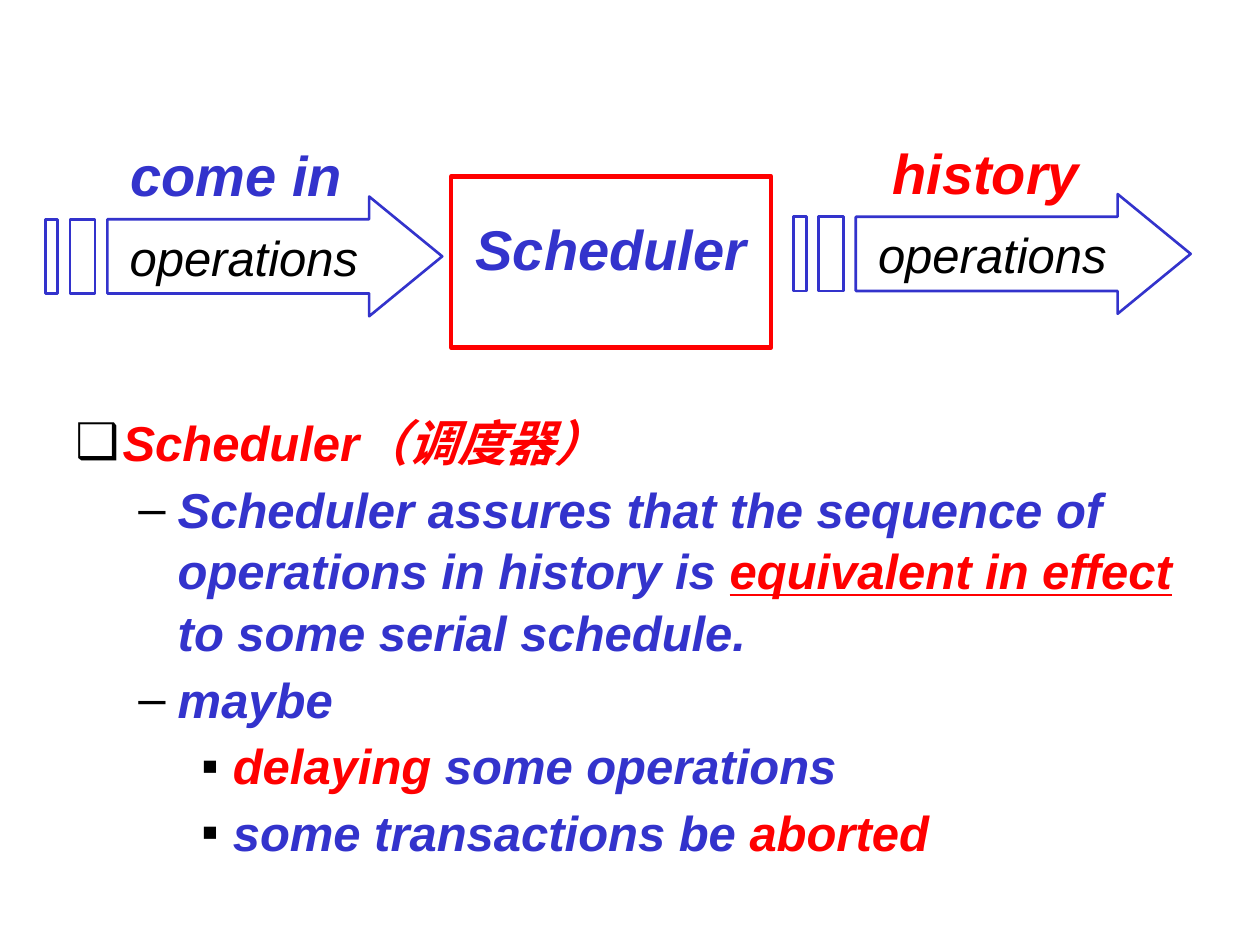
from lxml.etree import SubElement
from pptx import Presentation
from pptx.dml.color import RGBColor
from pptx.enum.shapes import MSO_SHAPE
from pptx.enum.text import MSO_ANCHOR, PP_ALIGN
from pptx.oxml.ns import qn
from pptx.util import Pt

BLUE, RED, BLACK, WHITE = "3333CC", "FF0000", "000000", "FFFFFF"

# label, label colour, label left and top, arrow left and top
FLOWS = [
    ("come in", BLUE, (57.6, 74.2), (25.9, 112.3)),
    ("history", RED, (486, 73.4), (453.6, 110.9)),
]
ARROW_TEXT = "operations"
ARROW_WIDTH, ARROW_HEIGHT = 226.8, 68.4
LABEL_WIDTH, LABEL_HEIGHT = 154.8, 45.4

# bullet, left margin and hanging indent for each level
LEVELS = [("❑", 27, 27), ("–", 58.5, 22.5), ("▪", 90, 18)]
NOTES = [
    (0, [("Scheduler（调度器）", RED)]),
    (1, [("Scheduler assures that the sequence of operations in history is ", BLUE),
         ("equivalent in effect", RED), (" to some serial schedule.", BLUE)]),
    (1, [("maybe", BLUE)]),
    (2, [("delaying ", RED), ("some operations", BLUE)]),
    (2, [("some transactions be ", BLUE), ("aborted", RED)]),
]
UNDERLINED = "equivalent in effect"


def rgb(hex_colour):
    return RGBColor.from_string(hex_colour)


def set_font(paragraph, size, bold=True):
    font = paragraph.font
    font.name, font.size, font.bold, font.italic = "Arial", Pt(size), bold, True


def set_frame(shape, wrap=True, side=7.2, top=3.6, anchor=MSO_ANCHOR.TOP):
    frame = shape.text_frame
    frame.word_wrap, frame.vertical_anchor = wrap, anchor
    frame.margin_left = frame.margin_right = Pt(side)
    frame.margin_top, frame.margin_bottom = Pt(top), Pt(3.6)
    return frame


def write_centred(frame, text, size, colour, bold=True):
    paragraph = frame.paragraphs[0]
    paragraph.text = text
    paragraph.alignment = PP_ALIGN.CENTER
    set_font(paragraph, size, bold)
    paragraph.font.color.rgb = rgb(colour)


def set_outline(shape, colour, width):
    shape.shadow.inherit = False
    shape.fill.background()
    shape.line.color.rgb = rgb(colour)
    shape.line.width = Pt(width)


def add_striped_arrow(slide, left, top):
    """Draw an arrow with two stripes behind it, on a grid of 32 columns."""
    column = ARROW_WIDTH / 32
    upper, lower = 0.19 * ARROW_HEIGHT, 0.81 * ARROW_HEIGHT
    neck = 0.816 * ARROW_WIDTH
    outlines = [
        [(neck, 0), (neck, upper), (5 * column, upper), (5 * column, lower),
         (neck, lower), (neck, ARROW_HEIGHT), (ARROW_WIDTH, ARROW_HEIGHT / 2)],
    ]
    for start, end in ((2, 4), (0, 1)):
        x1, x2 = start * column, end * column
        outlines.append([(x1, upper), (x1, lower), (x2, lower), (x2, upper)])

    outlines = [[(Pt(left + x), Pt(top + y)) for x, y in outline] for outline in outlines]
    builder = slide.shapes.build_freeform(*outlines[0][0])
    builder.add_line_segments(outlines[0][1:], close=True)
    for outline in outlines[1:]:
        builder.move_to(*outline[0])
        builder.add_line_segments(outline[1:], close=True)
    arrow = builder.convert_to_shape()
    set_outline(arrow, BLUE, 1.5)
    frame = set_frame(arrow, wrap=False, anchor=MSO_ANCHOR.MIDDLE)
    write_centred(frame, ARROW_TEXT, 28, BLACK, bold=False)


def add_bullet(paragraph, level):
    mark, margin, hanging = LEVELS[level]
    properties = paragraph._p.get_or_add_pPr()
    properties.set("marL", str(Pt(margin)))
    properties.set("indent", str(-Pt(hanging)))
    colour = SubElement(properties, qn("a:buClr"))
    SubElement(colour, qn("a:srgbClr"), val=BLACK)
    SubElement(properties, qn("a:buFont"), typeface="Arial")
    SubElement(properties, qn("a:buChar"), char=mark)


def add_notes(slide):
    panel = slide.shapes.add_shape(MSO_SHAPE.RECTANGLE, Pt(36), Pt(230.4), Pt(648), Pt(306))
    panel.shadow.inherit = False
    panel.fill.solid()
    panel.fill.fore_color.rgb = rgb(WHITE)
    panel.line.fill.background()
    frame = set_frame(panel)
    for index, (level, pieces) in enumerate(NOTES):
        paragraph = frame.add_paragraph() if index else frame.paragraphs[0]
        add_bullet(paragraph, level)
        paragraph.level = level
        paragraph.alignment = PP_ALIGN.LEFT
        paragraph.line_spacing = 1.05
        if index:
            paragraph.space_before = Pt(2.8)
        set_font(paragraph, 28)
        for text, colour in pieces:
            run = paragraph.add_run()
            run.text = text
            run.font.color.rgb = rgb(colour)
            if text == UNDERLINED:
                run.font.underline = True


def main():
    presentation = Presentation()
    presentation.slide_width, presentation.slide_height = Pt(720), Pt(540)
    slide = presentation.slides.add_slide(presentation.slide_layouts[6])

    scheduler = slide.shapes.add_shape(
        MSO_SHAPE.RECTANGLE, Pt(257.8), Pt(100.8), Pt(182.9), Pt(97.9))
    set_outline(scheduler, RED, 2.5)
    write_centred(set_frame(scheduler, top=21.6), "Scheduler", 32, BLUE)

    for label, colour, label_at, arrow_at in FLOWS:
        add_striped_arrow(slide, *arrow_at)
        caption = slide.shapes.add_textbox(
            *map(Pt, label_at), Pt(LABEL_WIDTH), Pt(LABEL_HEIGHT))
        write_centred(set_frame(caption, top=6), label, 32, colour)

    add_notes(slide)
    presentation.save("out.pptx")


if __name__ == "__main__":
    main()
